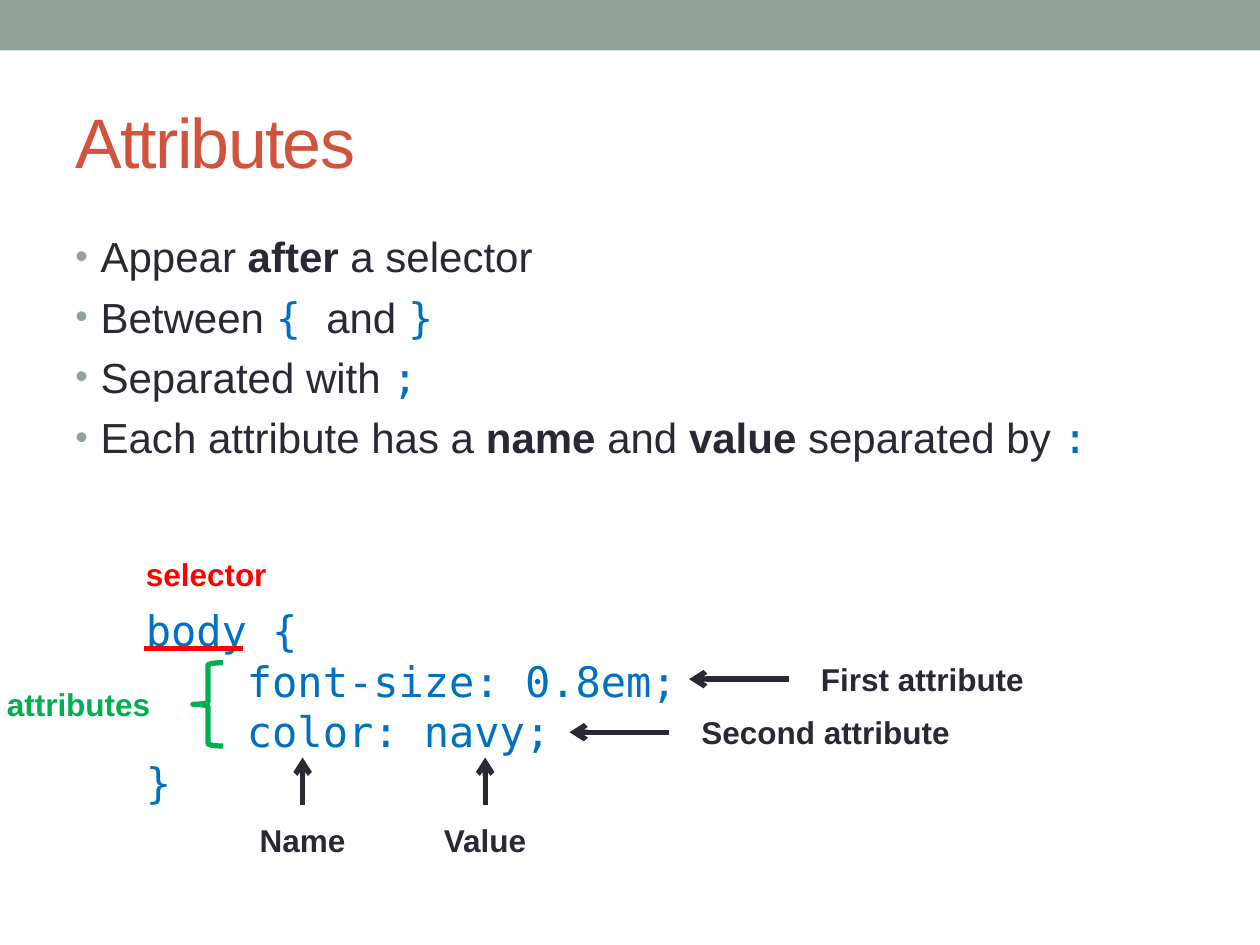
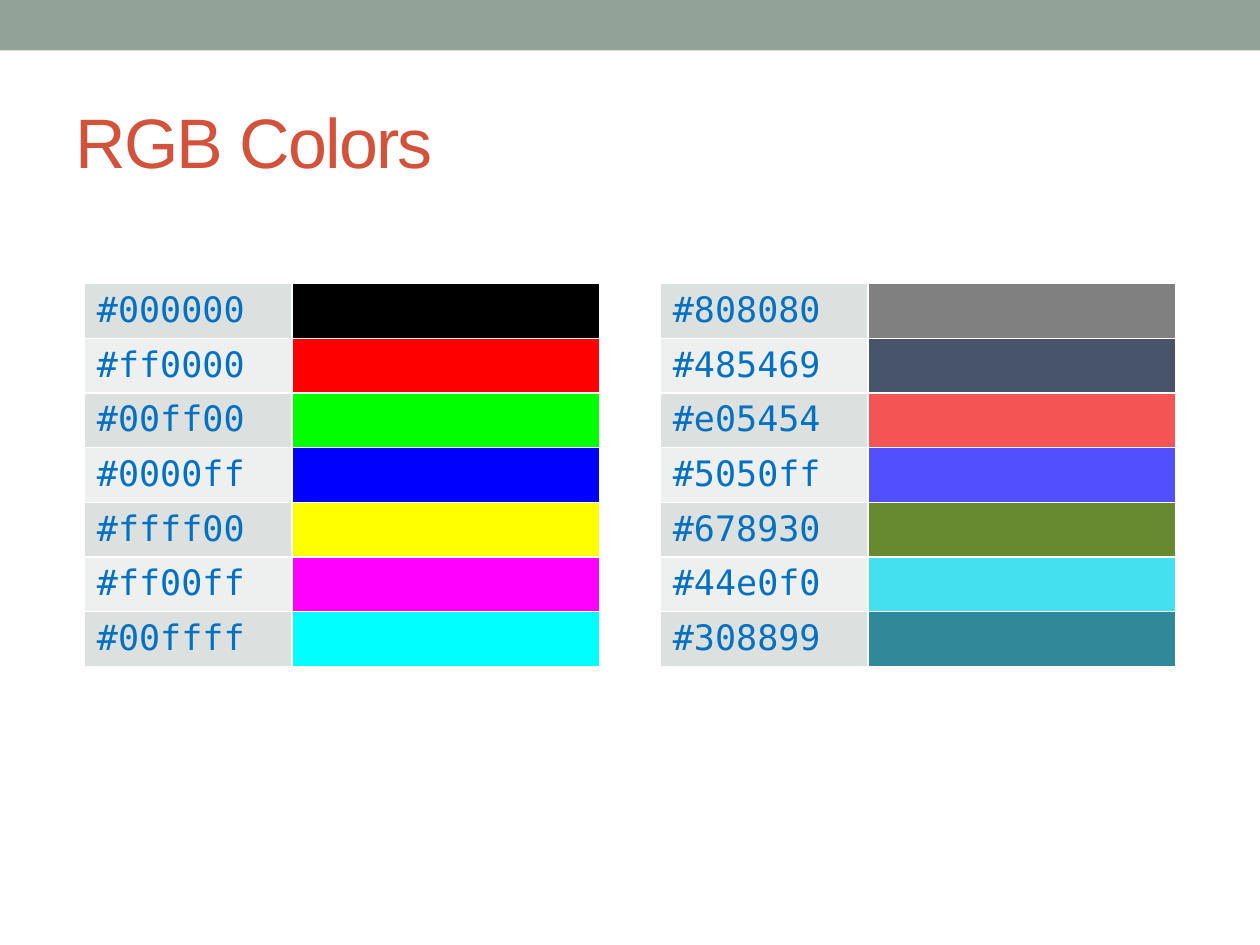
"""Build two slides on CSS attributes and RGB colours."""
from lxml.etree import SubElement
from pptx import Presentation
from pptx.dml.color import RGBColor
from pptx.enum.shapes import MSO_CONNECTOR as Connector, MSO_SHAPE as Shape
from pptx.enum.text import MSO_ANCHOR as Anchor, PP_ALIGN as Align
from pptx.oxml import parse_xml
from pptx.oxml.ns import nsdecls, qn
from pptx.util import Cm, Pt

SAGE, RUST, INK, BLUE = "93A299", "D2533C", "292934", "0070C0"
RED, GREEN, WHITE = "FF0000", "00B050", "FFFFFF"
SANS, MONO = "Arial", "DejaVu Sans Mono"
color = RGBColor.from_string


def add_text(page, place, text, size, ink, font=SANS, bold=False, align=Align.LEFT, wrap=True):
    """Add a text box in one style; place is left, top, width, height in cm."""
    box = page.shapes.add_textbox(*map(Cm, place))
    box.text_frame.text = text
    box.text_frame.word_wrap = wrap
    for para in box.text_frame.paragraphs:
        para.alignment = align
        for span in para.runs:
            span.font.name, span.font.size, span.font.bold = font, Pt(size), bold
            span.font.color.rgb = color(ink)
    return box


def add_line(page, ends, ink, arrow=True):
    """Add a straight line; ends are x1, y1, x2, y2 in cm."""
    line = page.shapes.add_connector(Connector.STRAIGHT, *map(Cm, ends))
    line.line.color.rgb = color(ink)
    line.line.width = Pt(3)
    properties = line._element.spPr
    SubElement(properties, qn("a:effectLst"))
    if arrow:
        SubElement(properties.find(qn("a:ln")), qn("a:tailEnd"), type="arrow")


deck = Presentation()
deck.slide_width, deck.slide_height = Cm(25.4), Cm(19.05)

pages = []
for heading in ("Attributes", "RGB Colors"):
    page = deck.slides.add_slide(deck.slide_layouts[6])
    band = page.shapes.add_shape(Shape.RECTANGLE, 0, 0, deck.slide_width, Cm(1.02))
    band.shadow.inherit = False
    band.fill.solid()
    band.fill.fore_color.rgb = color(SAGE)
    band.line.fill.background()
    title = add_text(page, (1.27, 1.47, 22.86, 2.74), heading, 40, RUST)
    title.text_frame.vertical_anchor = Anchor.MIDDLE
    title.text_frame.paragraphs[0].runs[0]._r.get_or_add_rPr().set("spc", "-100")
    pages.append(page)
attributes_page, colors_page = pages

bullets = [
    [("Appear", "plain"), (" after ", "bold"), ("a selector", "plain")],
    [("Between ", "plain"), ("{ ", "code"), ("and ", "plain"), ("}", "code")],
    [("Separated with ", "plain"), (";", "code")],
    [("Each attribute has a ", "plain"), ("name ", "bold"), ("and ", "plain"),
     ("value ", "bold"), ("separated by ", "plain"), (":", "code")],
]
body = attributes_page.shapes.add_textbox(Cm(1.27), Cm(4.53), Cm(22.86), Cm(5.8)).text_frame
body.word_wrap = True
for index, spans in enumerate(bullets):
    para = body.add_paragraph() if index else body.paragraphs[0]
    properties = para._p.get_or_add_pPr()
    properties.set("marL", str(Cm(0.51)))
    properties.set("indent", str(Cm(-0.51)))
    SubElement(SubElement(properties, qn("a:buClr")), qn("a:srgbClr"), val=SAGE)
    SubElement(properties, qn("a:buSzPct"), val="85000")
    SubElement(properties, qn("a:buFont"), typeface=SANS)
    SubElement(properties, qn("a:buChar"), char="•")
    para.space_before = Pt(5.6 if index else 0)
    for words, style in spans:
        span = para.add_run()
        span.text = words
        span.font.size = Pt(24)
        span.font.bold = style == "bold"
        span.font.name = MONO if style == "code" else SANS
        span.font.color.rgb = color(BLUE if style == "code" else INK)

css_rule = """body {
    font-size: 0.8em;
    color: navy;
}"""
add_text(attributes_page, (2.69, 12.07, 13.21, 5.38), css_rule, 24, BLUE, MONO)
add_line(attributes_page, (2.9, 13.08, 4.9, 13.08), RED, arrow=False)
add_text(attributes_page, (2.69, 11.07, 2.97, 1.02), "selector", 18, RED, bold=True, wrap=False)
add_text(attributes_page, (-0.71, 13.69, 3.99, 1.02), "attributes", 18, GREEN, bold=True,
         align=Align.RIGHT)
brace = attributes_page.shapes.add_shape(Shape.LEFT_BRACE, Cm(3.89), Cm(13.36), Cm(0.61), Cm(1.68))
brace.shadow.inherit = False
brace.fill.background()
brace.line.color.rgb = color(GREEN)
brace.line.width = Pt(3)

for label, tip, middle in (("First attribute", 13.89, 13.69), ("Second attribute", 11.48, 14.76)):
    add_line(attributes_page, (tip + 2.01, middle, tip, middle), INK)
    add_text(attributes_page, (tip + 2.41, middle - 0.51, 8.99, 1.02), label, 18, INK, bold=True)

for label, center, width in (("Name", 6.1, 2.26), ("Value", 9.78, 2.18)):
    add_line(attributes_page, (center, 16.23, center, 15.27), INK)
    add_text(attributes_page, (center - width / 2, 16.43, width, 1.02), label, 18, INK,
             bold=True, align=Align.CENTER, wrap=False)

palettes = [
    (1.7, "#000000 #ff0000 #00ff00 #0000ff #ffff00 #ff00ff #00ffff".split()),
    (13.31, "#808080 #485469 #e05454 #5050ff #678930 #44e0f0 #308899".split()),
]
shown_colors = {"#e05454": "F45454"}
for left, codes in palettes:
    table = colors_page.shapes.add_table(
        len(codes), 2, Cm(left), Cm(5.72), Cm(10.39), Cm(1.04 * len(codes))).table
    table.first_row = table.horz_banding = False
    table.columns[0].width, table.columns[1].width = Cm(4.19), Cm(6.2)
    for row, code in enumerate(codes):
        label, swatch = table.cell(row, 0), table.cell(row, 1)
        label.text = code
        span = label.text_frame.paragraphs[0].runs[0]
        span.font.name, span.font.size = MONO, Pt(20)
        span.font.color.rgb = color(BLUE)
        stripe = "EEF0EF" if row % 2 else "DCE0DE"
        for cell, fill in ((label, stripe), (swatch, shown_colors.get(code, code[1:].upper()))):
            for side in "LRTB":
                cell._tc.get_or_add_tcPr().append(parse_xml(
                    f'<a:ln{side} {nsdecls("a")} w="12700"><a:solidFill>'
                    f'<a:srgbClr val="{WHITE}"/></a:solidFill></a:ln{side}>'))
            cell.fill.solid()
            cell.fill.fore_color.rgb = color(fill)

deck.save("out.pptx")
